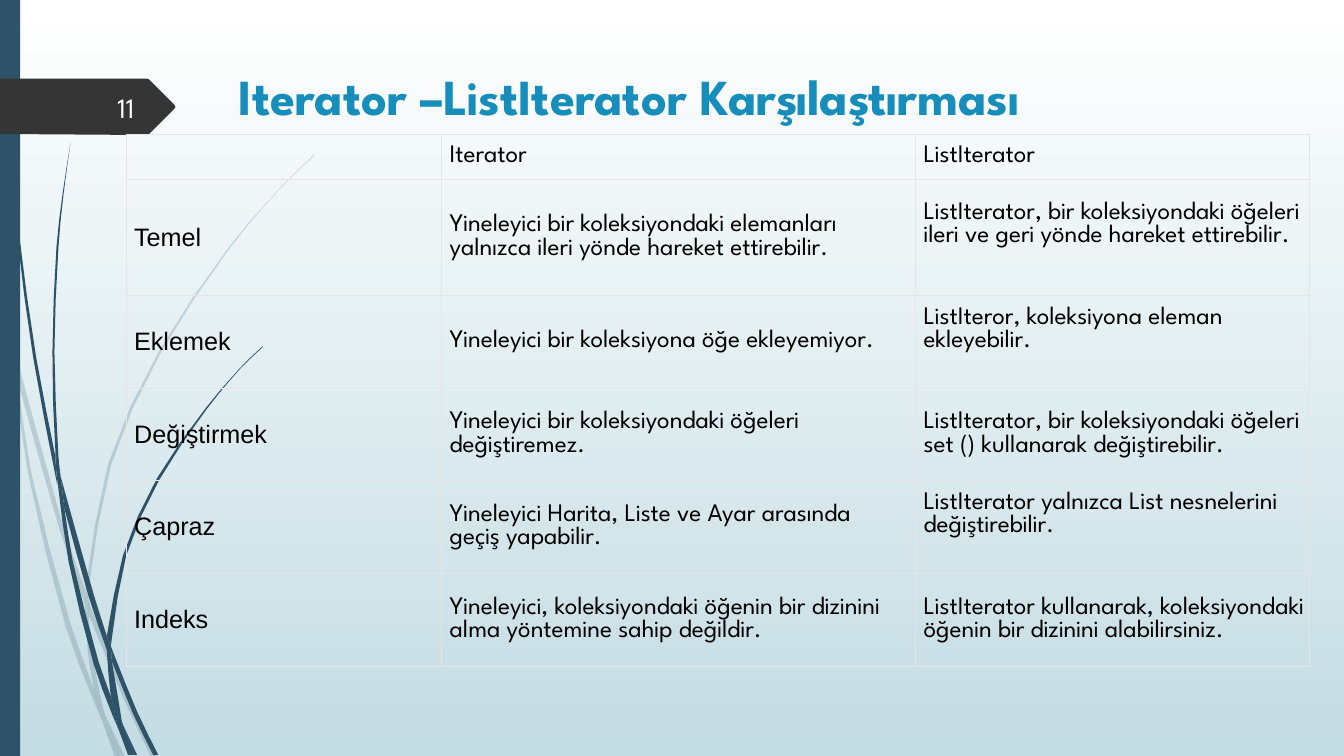
from dataclasses import dataclass
from itertools import chain
from math import dist

from lxml.etree import SubElement
from pptx import Presentation
from pptx.dml.color import RGBColor
from pptx.enum.lang import MSO_LANGUAGE_ID
from pptx.enum.shapes import MSO_SHAPE
from pptx.enum.text import MSO_ANCHOR, PP_ALIGN
from pptx.oxml import parse_xml
from pptx.oxml.ns import nsdecls, qn
from pptx.shapes.autoshape import Shape
from pptx.slide import Slide
from pptx.table import _Cell
from pptx.text.text import TextFrame
from pptx.util import Emu, Pt

PX = 9144  # 100 px to the inch
STEPS = 2

WHITE = RGBColor(0xFF, 0xFF, 0xFF)
MIST = RGBColor(0xC4, 0xDC, 0xE3)
NAVY = RGBColor(0x2E, 0x53, 0x69)
CHARCOAL = RGBColor(0x35, 0x35, 0x35)
BLUE = RGBColor(0x16, 0x8D, 0xBA)
NUMBER_WHITE = RGBColor(0xFE, 0xFF, 0xFF)
BLACK = RGBColor(0x00, 0x00, 0x00)
BORDER_GREY = RGBColor(0xE5, 0xE5, 0xE5)

SPARTAN = "League Spartan"
ARIAL = "Arial"

Point = tuple[float, float]
Edge = list[Point]


@dataclass(frozen=True)
class TextStyle:
    size: int
    color: RGBColor
    font: str = SPARTAN
    bold: bool = False
    align: PP_ALIGN = PP_ALIGN.LEFT


@dataclass(frozen=True)
class Label:
    text: str
    left: int
    top: int
    width: int
    height: int
    style: TextStyle
    anchor: MSO_ANCHOR


@dataclass(frozen=True)
class ComparisonRow:
    height: int
    aspect: str
    iterator: str
    list_iterator: str
    lift: int = 0


PALE_BLADES: list[list[Edge]] = [
    [[(11, 350), (9, 322), (0, 282)], [(0, 299), (10, 344), (11, 350)]],
    [[(17, 376), (58, 522), (84, 599)], [(85, 586), (62, 520), (14, 345)]],
    [[(88, 610), (123, 694), (150, 751)], [(155, 751), (127, 692), (92, 607), (88, 596)]],
    [[(105, 711), (119, 751)], [(124, 751)]],
    [[(11, 350), (28, 470), (65, 621), (92, 693), (101, 714)],
     [(99, 707), (93, 683), (70, 619), (31, 469), (17, 376), (11, 350)]],
    [[(84, 599), (87, 646), (93, 683), (96, 692), (105, 711)],
     [(103, 706), (91, 646), (88, 610)]],
    [[(88, 596), (88, 584), (110, 462), (160, 349), (229, 245), (268, 198), (290, 175), (312, 154)],
     [(312, 153), (289, 175), (268, 197), (228, 244), (158, 348), (107, 461), (85, 584)]],
    [[(101, 714), (114, 751)], [(119, 751)]],
    [[(88, 610), (88, 596), (85, 586)], [(84, 599), (88, 608)]],
    [[(93, 683), (99, 707), (101, 714), (119, 751)], [(105, 711), (96, 692)]],
]

DARK_BLADES: list[list[Edge]] = [
    [[(3, 0), (4, 48), (7, 110), (17, 233), (33, 355), (56, 477), (57, 481)],
     [(55, 457), (55, 453), (36, 355), (19, 232), (8, 109), (5, 48), (4, 0)]],
    [[(64, 505), (88, 592), (106, 645)], [(106, 633), (106, 631), (93, 590), (60, 472)]],
    [[(111, 656), (132, 708), (152, 749)], [(157, 749), (136, 706), (113, 649), (110, 641)]],
    [[(57, 477), (68, 557), (93, 659), (111, 708), (117, 722)],
     [(116, 717), (110, 691), (98, 657), (72, 556), (64, 505), (57, 477)]],
    [[(60, 472), (58, 453), (54, 349), (58, 245), (63, 193), (70, 141)],
     [(70, 141), (62, 193), (56, 245), (52, 349), (55, 449), (60, 472)]],
    [[(122, 719), (133, 749)], [(136, 749)]],
    [[(55, 449), (55, 453), (57, 477), (64, 505)], [(60, 472)]],
    [[(110, 641), (111, 633), (125, 552), (158, 476), (205, 406), (231, 374), (245, 359), (261, 344)],
     [(260, 344), (245, 358), (231, 373), (204, 405), (156, 474), (122, 551), (106, 631)]],
    [[(117, 722), (127, 749)], [(131, 749)]],
    [[(106, 645), (110, 691), (116, 706), (122, 719)], [(121, 716), (111, 656), (109, 651)]],
    [[(106, 645), (109, 651), (111, 656)], [(110, 641), (106, 631)]],
    [[(110, 691), (116, 717), (117, 722), (130, 749)], [(133, 749), (122, 719), (116, 706)]],
]

BADGE: Edge = [(0, 78), (146, 78), (148, 79), (173, 104), (174, 106),
               (173, 108), (148, 133), (146, 134), (0, 133)]

LABELS = [
    Label("Iterator –ListIterator Karşılaştırması ", 143, 60, 975, 140,
          TextStyle(36, BLUE, bold=True, align=PP_ALIGN.CENTER), MSO_ANCHOR.TOP),
    Label("11", 58, 86, 85, 40,
          TextStyle(20, NUMBER_WHITE, align=PP_ALIGN.RIGHT), MSO_ANCHOR.MIDDLE),
]

COLUMN_WIDTHS = [313, 470, 391]
RIGHT_MARGINS = [8, 8, 0]
COLUMN_STYLES = [TextStyle(18, BLACK, ARIAL), TextStyle(18, BLACK), TextStyle(18, BLACK)]
ROWS = [
    ComparisonRow(45, "", "Iterator", "ListIterator"),
    ComparisonRow(115, "Temel",
                  "Yineleyici bir koleksiyondaki elemanları yalnızca ileri yönde hareket ettirebilir.",
                  "ListIterator, bir koleksiyondaki öğeleri ileri ve geri yönde hareket ettirebilir.", 24),
    ComparisonRow(92, "Eklemek", "Yineleyici bir koleksiyona öğe ekleyemiyor.",
                  "ListIteror, koleksiyona eleman ekleyebilir.", 24),
    ComparisonRow(92, "Değiştirmek", "Yineleyici bir koleksiyondaki öğeleri değiştiremez.",
                  "ListIterator, bir koleksiyondaki öğeleri set () kullanarak değiştirebilir."),
    ComparisonRow(92, "Çapraz", "Yineleyici Harita, Liste ve Ayar arasında geçiş yapabilir.",
                  "ListIterator yalnızca List nesnelerini değiştirebilir.", 24),
    ComparisonRow(92, "Indeks",
                  "Yineleyici, koleksiyondaki öğenin bir dizinini alma yöntemine sahip değildir.",
                  "ListIterator kullanarak, koleksiyondaki öğenin bir dizinini alabilirsiniz."),
]


def px(length: float) -> Emu:
    return Emu(round(length * PX))


def smooth(edge: Edge) -> Edge:
    """Run a Hermite curve through the points, with tangents taken from their neighbours."""
    last = len(edge) - 1
    tangents = []
    for i in range(last + 1):
        before, after = max(i - 1, 0), min(i + 1, last)
        span = sum(dist(edge[k], edge[k + 1]) for k in range(before, after)) or 1
        tangents.append([(b - a) / span for a, b in zip(edge[before], edge[after])])
    curve = [edge[0]]
    for i in range(last):
        chord = dist(edge[i], edge[i + 1])
        for t in (step / STEPS for step in range(1, STEPS + 1)):
            ease = t * t * (3 - 2 * t)
            leave, arrive = chord * t * (1 - t) ** 2, chord * t * t * (t - 1)
            curve.append(tuple(
                a + (b - a) * ease + u * leave + v * arrive
                for a, b, u, v in zip(edge[i], edge[i + 1], tangents[i], tangents[i + 1])))
    return curve


def paint(shape: Shape, color: RGBColor, alpha: int = 100) -> None:
    shape.shadow.inherit = False
    shape.line.fill.background()
    shape.fill.solid()
    shape.fill.fore_color.rgb = color
    if alpha < 100:
        tint = next(shape._element.spPr.iter(qn("a:srgbClr")))
        SubElement(tint, qn("a:alpha"), val=str(alpha * 1000))


def draw_outline(page: Slide, outline: Edge, color: RGBColor, alpha: int = 100) -> None:
    points = [(px(x), px(y)) for x, y in outline]
    builder = page.shapes.build_freeform(*points[0])
    builder.add_line_segments(points[1:], close=True)
    paint(builder.convert_to_shape(), color, alpha)


def write(frame: TextFrame, text: str, style: TextStyle) -> None:
    para = frame.paragraphs[0]
    para.alignment = style.align
    span = para.add_run()
    span.text = text
    span.font.name, span.font.size, span.font.bold = style.font, Pt(style.size), style.bold
    span.font.color.rgb = style.color
    span.font.language_id = MSO_LANGUAGE_ID.TURKISH
    span.font._element.set("kern", "1200")


def draw_label(page: Slide, label: Label) -> None:
    box = page.shapes.add_textbox(px(label.left), px(label.top), px(label.width), px(label.height))
    frame = box.text_frame
    frame.word_wrap = True
    frame.vertical_anchor = label.anchor
    frame.margin_left = frame.margin_right = px(10)
    frame.margin_top = frame.margin_bottom = px(5)
    write(frame, label.text, label.style)


def style_cell(cell: _Cell, right_margin: int, lift: int) -> None:
    """Clear the fill, rule all four sides and raise the text by half of lift."""
    cell.fill.background()
    cell.vertical_anchor = MSO_ANCHOR.MIDDLE
    cell.margin_left, cell.margin_right = px(8), px(right_margin)
    cell.margin_top, cell.margin_bottom = px(0), px(lift)
    for place, side in enumerate("LRTB"):
        cell._tc.get_or_add_tcPr().insert(place, parse_xml(
            f'<a:ln{side} {nsdecls("a")} w="{Pt(0.75)}"><a:solidFill>'
            f'<a:srgbClr val="{BORDER_GREY}"/></a:solidFill></a:ln{side}>'))


def draw_table(page: Slide) -> None:
    height = sum(row.height for row in ROWS)
    table = page.shapes.add_table(len(ROWS), len(COLUMN_WIDTHS), px(125), px(133),
                                  px(sum(COLUMN_WIDTHS)), px(height)).table
    table.first_row = table.horz_banding = False
    for column, width in zip(table.columns, COLUMN_WIDTHS):
        column.width = px(width)
    for r, row in enumerate(ROWS):
        table.rows[r].height = px(row.height)
        texts, lifts = (row.aspect, row.iterator, row.list_iterator), (0, 0, row.lift)
        for c, (text, style, margin, lift) in enumerate(
                zip(texts, COLUMN_STYLES, RIGHT_MARGINS, lifts)):
            cell = table.cell(r, c)
            style_cell(cell, margin, lift)
            if text:
                write(cell.text_frame, text, style)


def draw_backdrop(page: Slide) -> None:
    fill = page.background.fill
    fill.gradient()
    fill.gradient_angle = 270
    for stop, color, position in zip(fill.gradient_stops, (WHITE, MIST), (0, 1)):
        stop.color.rgb, stop.position = color, position
    for blades, alpha in ((PALE_BLADES, 20), (DARK_BLADES, 100)):
        for edges in blades:
            draw_outline(page, list(chain.from_iterable(map(smooth, edges))), NAVY, alpha)
    paint(page.shapes.add_shape(MSO_SHAPE.RECTANGLE, 0, 0, px(20), px(750)), NAVY)
    draw_outline(page, BADGE, CHARCOAL)


def main() -> None:
    deck = Presentation()
    deck.slide_width, deck.slide_height = px(1333), px(750)
    page = deck.slides.add_slide(deck.slide_layouts[6])
    draw_backdrop(page)
    for label in LABELS:
        draw_label(page, label)
    draw_table(page)
    deck.save("out.pptx")


if __name__ == "__main__":
    main()
